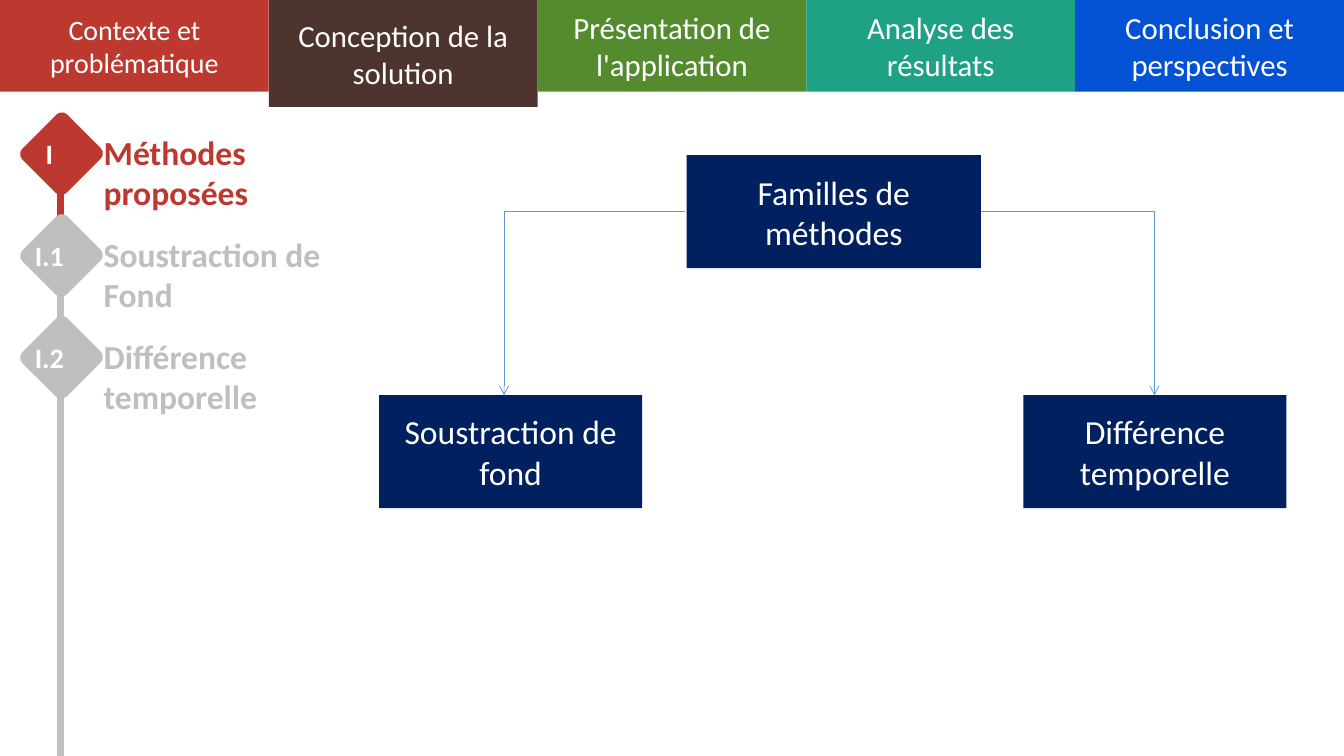
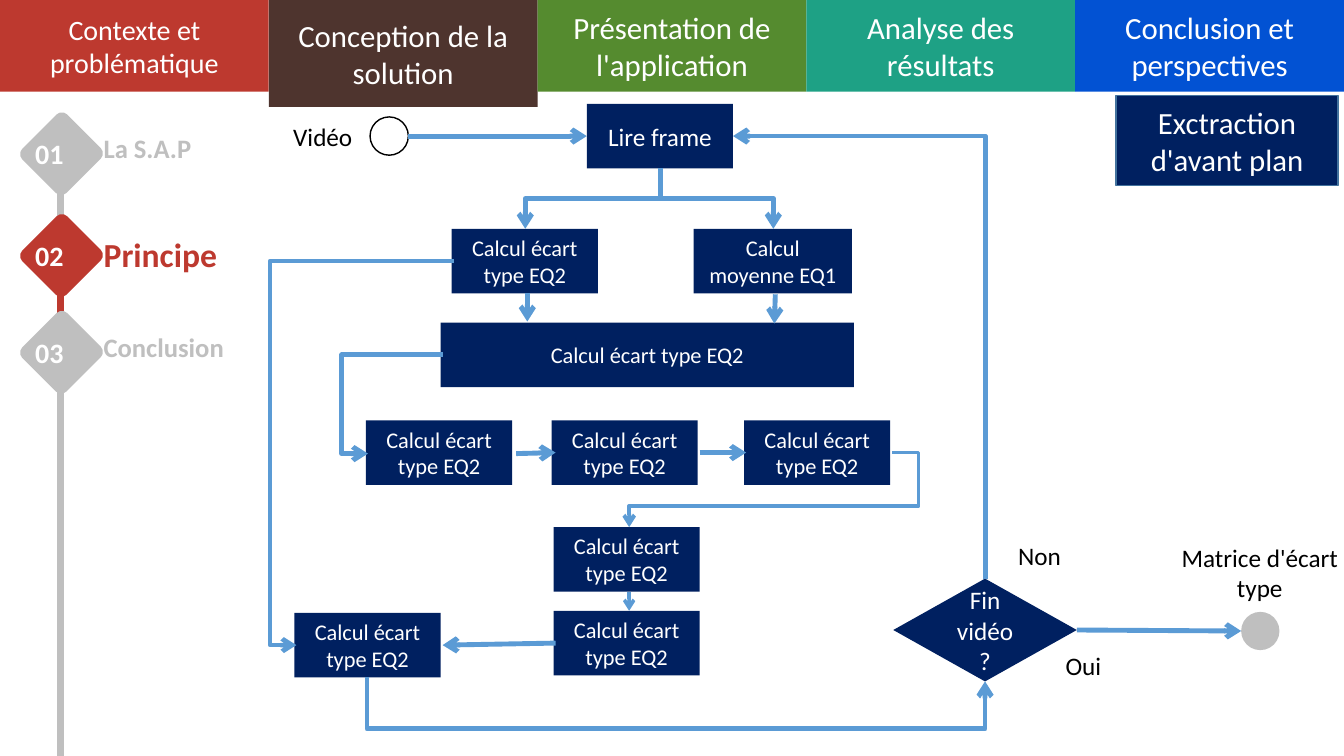
from dataclasses import dataclass

from lxml.etree import SubElement
from pptx import Presentation
from pptx.dml.color import RGBColor
from pptx.enum.shapes import MSO_CONNECTOR as LINK, MSO_SHAPE as SHAPE
from pptx.enum.text import MSO_ANCHOR as ANCHOR, PP_ALIGN as ALIGN
from pptx.oxml.ns import qn
from pptx.util import Inches, Pt


@dataclass(frozen=True)
class Theme:
    font: str = "Calibri"
    red: str = "BD392F"
    brown: str = "4E342E"
    green: str = "558B2F"
    teal: str = "1EA185"
    blue: str = "0252D3"
    navy: str = "002060"
    navy_edge: str = "43739E"
    arrow: str = "5B9BD5"
    muted: str = "BFBFBF"
    white: str = "FFFFFF"
    black: str = "000000"
    heading: int = 24
    tab: int = 22
    small_tab: int = 20
    marker: int = 20
    quiet_step: int = 19
    body: int = 18
    process: int = 16
    spine: float = 5
    flow: float = 3.5


THEME = Theme()
WIDTH, HEIGHT = 13.33, 7.5
PROCESS_SIZE = (1.45, 0.64)
FAMILY_SIZE = (2.61, 1.12)
MARKER_SIZE = (0.62, 0.63)
MARKER_LEFT, SPINE_X = 0.3, 0.6
TAB_HEIGHT, ACTIVE_TAB_HEIGHT = 0.91, 1.06
ACTIVE_TAB = 1
TABS = [
    ("Contexte et problématique", THEME.red, THEME.small_tab),
    ("Conception de la solution", THEME.brown, THEME.tab),
    ("Présentation de l'application", THEME.green, THEME.tab),
    ("Analyse des résultats", THEME.teal, THEME.tab),
    ("Conclusion et perspectives", THEME.blue, THEME.tab),
]


def inches(*lengths):
    return [Inches(length) for length in lengths]


class Deck:
    def __init__(self, theme):
        self.theme = theme
        self.show = Presentation()
        self.show.slide_width, self.show.slide_height = inches(WIDTH, HEIGHT)
        self.slide = None

    def new_slide(self):
        self.slide = self.show.slides.add_slide(self.show.slide_layouts[6])
        self.tabs()

    def set_text(self, frame, text, size, color, bold=False, align=ALIGN.CENTER):
        frame.word_wrap = True
        frame.text = text
        style = {"name": self.theme.font, "size": Pt(size), "bold": bold}
        for paragraph in frame.paragraphs:
            paragraph.alignment = align
            for key, value in style.items():
                setattr(paragraph.font, key, value)
            paragraph.font.color.rgb = RGBColor.from_string(color)

    def shape(self, kind, at, size, fill, text="", points=THEME.process, edge=None):
        shape = self.slide.shapes.add_shape(kind, *inches(*at, *size))
        shape.shadow.inherit = False
        shape.fill.solid()
        shape.fill.fore_color.rgb = RGBColor.from_string(fill)
        if edge:
            shape.line.color.rgb = RGBColor.from_string(edge)
            shape.line.width = Pt(1)
        else:
            shape.line.fill.background()
        if text:
            shape.text_frame.vertical_anchor = ANCHOR.MIDDLE
            self.set_text(shape.text_frame, text, points, self.theme.white)
        return shape

    def box(self, text, at, size=PROCESS_SIZE, points=THEME.process, edge=None):
        self.shape(SHAPE.RECTANGLE, at, size, self.theme.navy, text, points, edge)

    def label(self, text, at, size, points=THEME.body, color=THEME.black, **style):
        area = self.slide.shapes.add_textbox(*inches(*at, *size))
        self.set_text(area.text_frame, text, points, color, **style)
        return area

    def line(self, start, end, color, width, kind=LINK.STRAIGHT, arrow=False):
        link = self.slide.shapes.add_connector(kind, *inches(*start, *end))
        link.line.color.rgb = RGBColor.from_string(color)
        link.line.width = Pt(width)
        properties = link.element.spPr
        if arrow:
            SubElement(properties.find(qn("a:ln")), qn("a:tailEnd"), type="arrow")
        SubElement(properties, qn("a:effectLst"))
        return link

    def arrow(self, start, end, width=THEME.flow):
        self.line(start, end, self.theme.arrow, width, arrow=True)

    def elbow(self, *points, width=THEME.flow):
        """Draw an arrow with right-angle bends through all the points."""
        start, end = points[0], points[-1]
        dx, dy = end[0] - start[0], end[1] - start[1]
        vertical = start[0] == points[1][0]
        begin, finish = start, end
        if vertical:  # the frame is laid on its side, then turned
            middle_x, middle_y = start[0] + dx / 2, start[1] + dy / 2
            half, rise = abs(dy) / 2, (-dx if dy > 0 else dx) / 2
            begin = (middle_x - half, middle_y - rise)
            finish = (middle_x + half, middle_y + rise)
        link = self.line(begin, finish, self.theme.arrow, width, LINK.ELBOW, True)
        properties = link.element.spPr
        if vertical:
            turn = 90 if dy > 0 else 270
            properties.find(qn("a:xfrm")).set("rot", str(turn * 60000))
        geometry = properties.find(qn("a:prstGeom"))
        geometry.set("prst", f"bentConnector{len(points) - 1}")
        guides = geometry.find(qn("a:avLst"))
        for number, bend in enumerate(points[1:-2], 1):
            axis = (number - 1 + vertical) % 2
            share = (bend[axis] - start[axis]) / (end[axis] - start[axis])
            SubElement(guides, qn("a:gd"), name=f"adj{number}",
                       fmla=f"val {round(share * 100000)}")

    def tabs(self):
        width = WIDTH / len(TABS)
        for index, (text, color, points) in enumerate(TABS):
            height = ACTIVE_TAB_HEIGHT if index == ACTIVE_TAB else TAB_HEIGHT
            self.shape(SHAPE.RECTANGLE, (index * width, 0), (width, height),
                       color, text, points)

    def steps(self, steps, active, quiet_points):
        """Draw the side progress: (number, text, top, label width) per step."""
        theme = self.theme
        colors = [theme.red if i == active else theme.muted
                  for i in range(len(steps))]
        middles = [top + MARKER_SIZE[1] / 2 for _, _, top, _ in steps] + [HEIGHT]
        for color, upper, lower in zip(colors, middles, middles[1:]):
            self.line((SPINE_X, upper), (SPINE_X, lower), color, theme.spine)
        for i, (number, text, top, width) in enumerate(steps):
            marker = self.shape(SHAPE.ROUNDED_RECTANGLE, (MARKER_LEFT, top),
                                MARKER_SIZE, colors[i])
            marker.rotation = 45
            marker.adjustments[0] = 0.12
            caption = self.label(number, (0.14, top), (0.7, MARKER_SIZE[1]),
                                 theme.marker, theme.white, bold=True)
            caption.text_frame.vertical_anchor = ANCHOR.MIDDLE
            points = theme.heading if i == active else quiet_points
            self.label(text, (0.93, top + 0.05), (width, 0.9), points, colors[i],
                       bold=True, align=ALIGN.LEFT)


def methods_slide(deck):
    deck.new_slide()
    deck.steps([("I", "Méthodes\nproposées", 1.21, 1.89),
                ("I.1", "Soustraction de Fond", 2.22, 2.35),
                ("I.2", "Différence temporelle", 3.23, 1.97)],
               active=0, quiet_points=THEME.heading)
    deck.box("Familles de méthodes", (6.81, 1.54), (2.92, 1.12), THEME.heading)
    for text, left, root_x, tip_x in [("Soustraction de fond", 3.76, 6.79, 5),
                                      ("Différence temporelle", 10.15, 9.73, 11.45)]:
        deck.box(text, (left, 3.92), FAMILY_SIZE, THEME.heading)
        deck.elbow((root_x, 2.1), (tip_x, 2.1), (tip_x, 3.92), width=0.5)


def flowchart_slide(deck):
    deck.new_slide()
    deck.steps([("01", "La S.A.P", 1.21, 2.43),
                ("02", "Principe", 2.22, 2.35),
                ("03", "Conclusion", 3.18, 1.85)],
               active=1, quiet_points=THEME.quiet_step)

    deck.box("Exctraction d'avant plan", (11.07, 0.95), (2.2, 0.89), THEME.tab,
             THEME.navy_edge)
    deck.box("Lire frame", (5.82, 1.03), points=THEME.body)
    deck.box("Calcul moyenne EQ1", (6.88, 2.27), (1.57, 0.64))
    deviation = "Calcul écart type EQ2"
    deck.box(deviation, (4.37, 3.2), (4.1, 0.64))
    for at in [(4.48, 2.27), (3.63, 4.17), (5.47, 4.17), (7.38, 4.17),
               (5.49, 5.23), (5.49, 6.06), (2.92, 6.08)]:
        deck.box(deviation, at)
    deck.shape(SHAPE.DIAMOND, (8.86, 5.74), (1.82, 1.02), THEME.navy,
               "Fin vidéo ?", THEME.body)
    deck.shape(SHAPE.OVAL, (3.67, 1.16), (0.38, 0.38), THEME.white,
               edge=THEME.black)
    deck.shape(SHAPE.OVAL, (12.31, 6.07), (0.38, 0.38), THEME.muted)

    for text, at, width in [("Vidéo", (2.81, 1.15), 0.86), ("Non", (10, 5.31), 0.74),
                            ("Oui", (10.47, 6.4), 0.74)]:
        deck.label(text, at, (width, 0.4), align=ALIGN.LEFT)
    deck.label("Matrice d'écart type", (11.48, 5.33), (2.03, 0.7))

    for start, end in [((4.05, 1.35), (5.82, 1.35)), ((5.23, 2.91), (5.23, 3.19)),
                       ((7.69, 2.92), (7.68, 3.21)), ((5.12, 4.5), (5.51, 4.49)),
                       ((6.94, 4.49), (7.4, 4.49)), ((5.51, 6.38), (4.39, 6.4)),
                       ((10.68, 6.25), (12.31, 6.26))]:
        deck.arrow(start, end)
    deck.arrow((6.24, 5.87), (6.24, 6.06), width=2.5)

    for branch_x in (5.21, 7.67):
        deck.elbow((6.55, 1.67), (6.55, 1.97), (branch_x, 1.97), (branch_x, 2.27))
    deck.elbow((4.39, 3.52), (3.39, 3.52), (3.39, 4.5), (3.65, 4.5))
    deck.elbow((8.85, 4.49), (9.11, 4.49), (9.11, 5.02), (6.24, 5.02), (6.24, 5.23),
               width=2.75)
    deck.elbow((4.5, 2.59), (2.68, 2.59), (2.68, 6.4), (2.94, 6.4), width=3.25)
    deck.elbow((3.64, 6.72), (3.64, 7.23), (9.77, 7.23), (9.77, 6.76))
    deck.elbow((9.77, 5.74), (9.77, 1.35), (7.27, 1.35))


def main():
    deck = Deck(THEME)
    methods_slide(deck)
    flowchart_slide(deck)
    deck.show.save("out.pptx")


if __name__ == "__main__":
    main()
